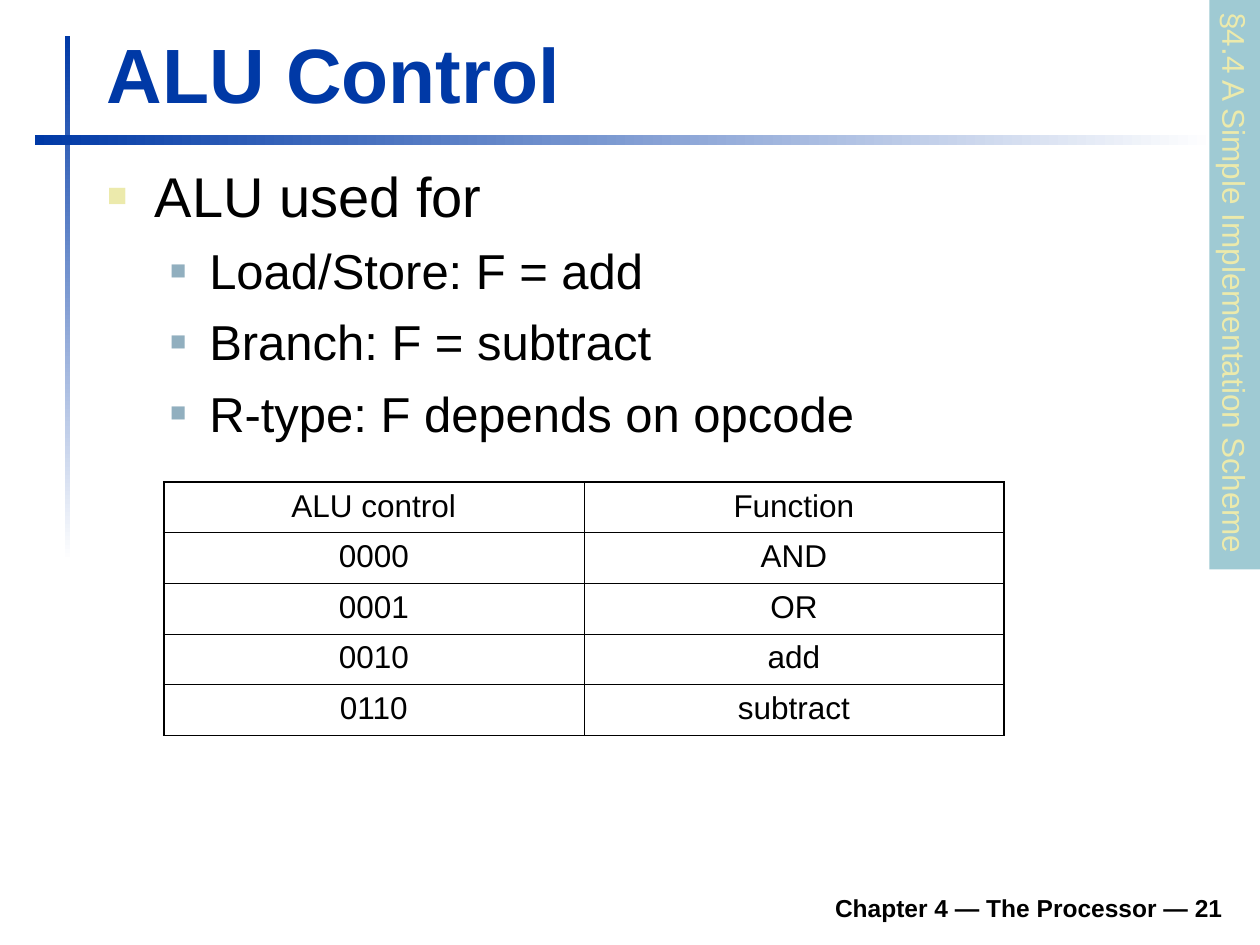
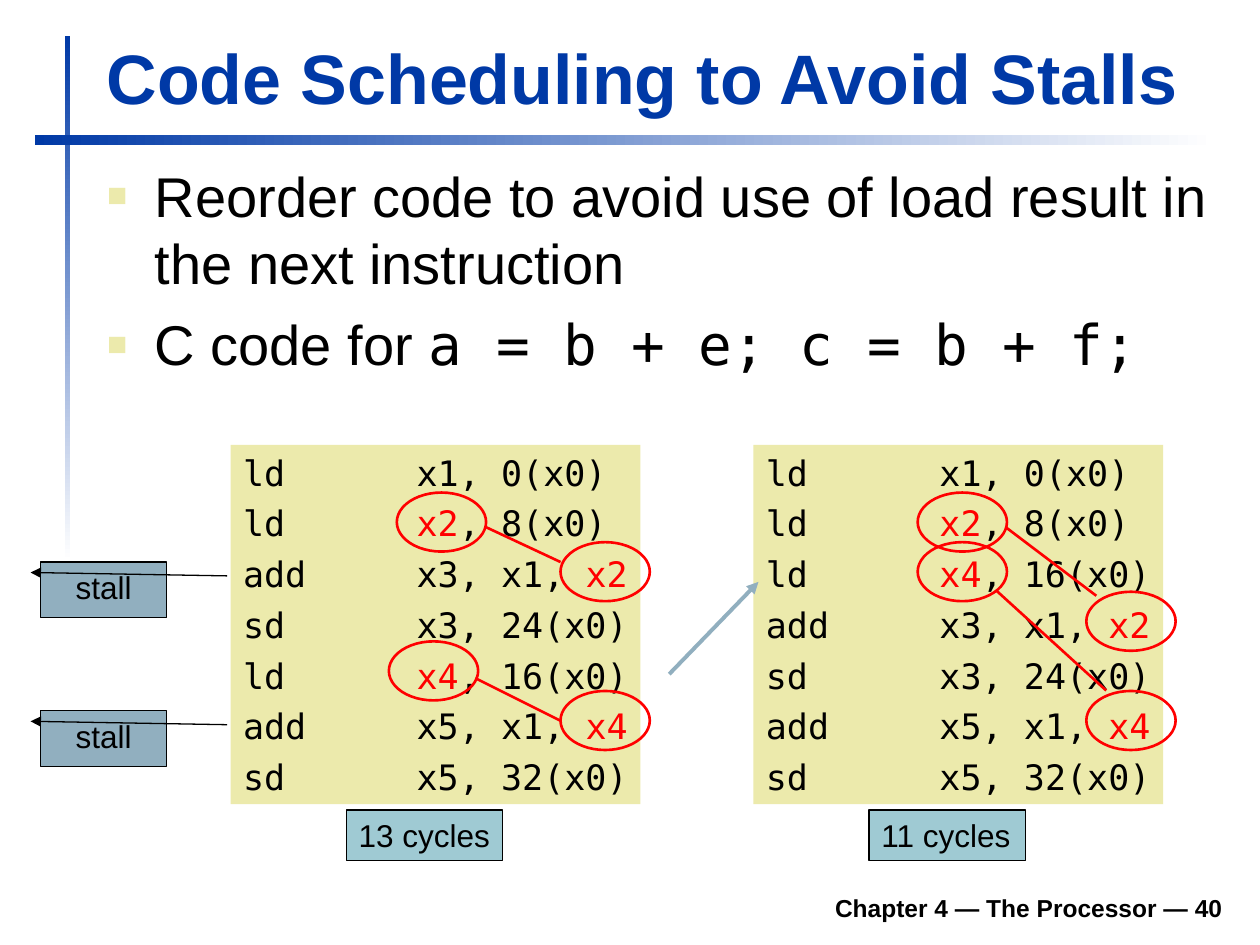
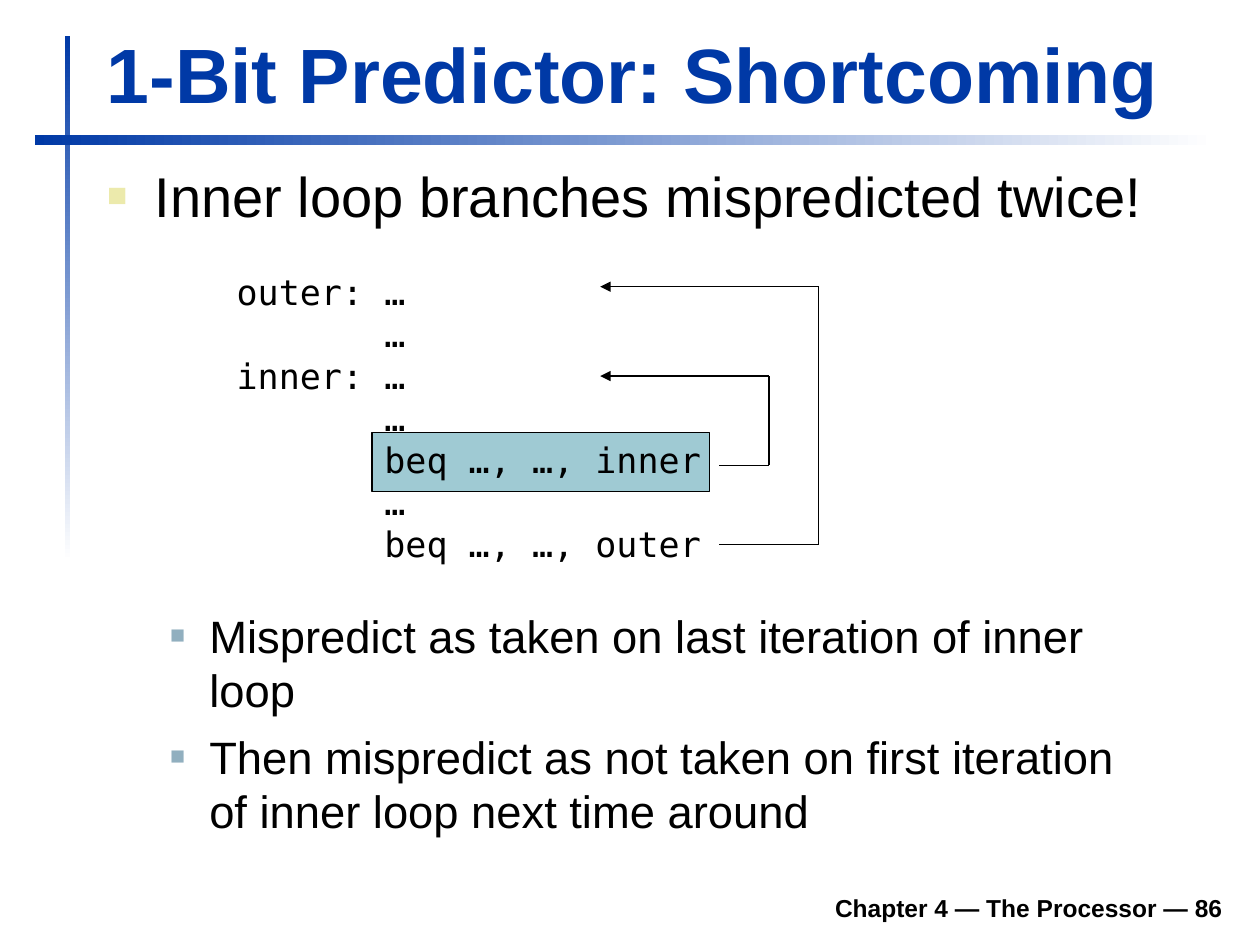
from itertools import pairwise

from lxml.etree import SubElement
from pptx import Presentation
from pptx.dml.color import RGBColor
from pptx.enum.shapes import MSO_CONNECTOR, MSO_SHAPE
from pptx.enum.text import MSO_ANCHOR, PP_ALIGN
from pptx.oxml.ns import qn
from pptx.util import Cm, Pt

BLUE = RGBColor(0x00, 0x39, 0xA6)
WHITE = RGBColor(0xFF, 0xFF, 0xFF)
BLACK = RGBColor(0x00, 0x00, 0x00)
RED = RGBColor(0xFF, 0x00, 0x00)
SAND = RGBColor(0xEC, 0xEA, 0xAC)
STEEL = RGBColor(0x91, 0xAF, 0xBF)
AQUA = RGBColor(0x9F, 0xCA, 0xD3)
SANS = "Arial"
MONO = "DejaVu Sans Mono"
LEVELS = [
    (0.96, 0.96, 32, 8, SAND, 60),
    (2.06, 0.79, 28, 7, STEEL, 55),
]


def add_runs(para, text, size, color=BLACK, face=SANS, bold=False,
             mark_color=None, mark_face=None):
    """Fill a paragraph, giving the parts between bars the mark style."""
    for index, part in enumerate(text.split("|")):
        if not part:
            continue
        run = para.add_run()
        run.text = part
        font = run.font
        font.size, font.bold = Pt(size), bold
        marked = index % 2
        font.name = mark_face if marked and mark_face else face
        font.color.rgb = mark_color if marked and mark_color else color


def write(frame, lines, size, gap=0, align=PP_ALIGN.LEFT, tabs=(), wrap=True,
          anchor=MSO_ANCHOR.TOP, **style):
    """Write one paragraph per line into a text frame."""
    frame.word_wrap = wrap
    frame.vertical_anchor = anchor
    frame.text = "\n" * (len(lines) - 1)
    for index, (para, line) in enumerate(zip(frame.paragraphs, lines)):
        para.alignment = align
        if tabs:
            stops = SubElement(para._p.get_or_add_pPr(), qn("a:tabLst"))
            for stop in tabs:
                SubElement(stops, qn("a:tab"), pos=str(Cm(stop)), algn="l")
        if gap and index:
            para.space_before = Pt(gap)
        add_runs(para, line, size, **style)


def add_text(slide, box, lines, size, **style):
    """Add a text box with the given lines."""
    frame = slide.shapes.add_textbox(*map(Cm, box)).text_frame
    write(frame, lines, size, **style)


def add_list(slide, box, items, size=None):
    """Add a list with square bullets from (level, text) items."""
    frame = slide.shapes.add_textbox(*map(Cm, box)).text_frame
    frame.word_wrap = True
    frame.text = "\n" * (len(items) - 1)
    for index, (para, (level, text)) in enumerate(zip(frame.paragraphs, items)):
        left, hang, points, gap, color, percent = LEVELS[level]
        para.level = level
        props = para._p.get_or_add_pPr()
        props.set("marL", str(Cm(left)))
        props.set("indent", str(-Cm(hang)))
        tint = SubElement(props, qn("a:buClr"))
        SubElement(tint, qn("a:srgbClr"), val=str(color))
        SubElement(props, qn("a:buSzPct"), val=str(percent * 1000))
        SubElement(props, qn("a:buFont"), typeface=SANS)
        SubElement(props, qn("a:buChar"), char="■")
        if index:
            para.space_before = Pt(gap)
        add_runs(para, text, size or points, mark_face=MONO)


def add_block(slide, box, fill=None, line=None, width=0.75, kind=MSO_SHAPE.RECTANGLE):
    """Add a flat shape with optional fill and outline."""
    shape = slide.shapes.add_shape(kind, *map(Cm, box))
    shape.shadow.inherit = False
    if fill is None:
        shape.fill.background()
    else:
        shape.fill.solid()
        shape.fill.fore_color.rgb = fill
    if line is None:
        shape.line.fill.background()
    else:
        shape.line.color.rgb = line
        shape.line.width = Pt(width)
    return shape


def add_fade(slide, box, angle):
    """Add a bar that fades from blue to white."""
    bar = add_block(slide, box)
    bar.fill.gradient()
    bar.fill.gradient_angle = angle
    for stop, color in zip(bar.fill.gradient_stops, (BLUE, WHITE)):
        stop.color.rgb = color


def add_tip(shape, end):
    """Put a triangle at the headEnd or tailEnd of a line."""
    SubElement(shape.element.spPr.find(qn("a:ln")), qn(f"a:{end}"), type="triangle")


def add_line(slide, start, stop, color, width, tip=False):
    """Add a straight line, with an arrow tip if asked."""
    ends = map(Cm, (*start, *stop))
    link = slide.shapes.add_connector(MSO_CONNECTOR.STRAIGHT, *ends)
    link.line.color.rgb = color
    link.line.width = Pt(width)
    if tip:
        add_tip(link, "tailEnd")
    SubElement(link.element.spPr, qn("a:effectLst"))


def add_loop(slide, start, right, top):
    """Add a jump back from a branch up to its label."""
    left, base = start
    points = [(left, base), (right, base), (right, top), (12.1, top)]
    for index, (first, last) in enumerate(pairwise(points)):
        add_line(slide, first, last, BLACK, 0.75, tip=index == 2)


def add_stall(slide, top):
    """Add a stall callout whose leader points left."""
    note = add_block(slide, (0.82, top, 2.54, 1.12), STEEL, BLACK,
                     kind=MSO_SHAPE.LINE_CALLOUT_1)
    for index, value in enumerate((0.19, -0.08, 0.25, 1.48)):
        note.adjustments[index] = value
    add_tip(note, "headEnd")
    write(note.text_frame, ["stall"], 18, align=PP_ALIGN.CENTER)


def add_code(slide, left, lines, cycles):
    """Add a code panel with its cycle count below."""
    panel = add_block(slide, (left, 8.97, 8.26, 7.24), SAND)
    write(panel.text_frame, lines, 20, gap=5, tabs=(1.75, 3.5), wrap=False,
          face=MONO, mark_color=RED)
    count = add_block(slide, (left + 2.33, 16.33, 3.15, 1.02), AQUA, BLACK)
    write(count.text_frame, [f"{cycles} cycles"], 18, wrap=False)


def add_edges(cell, widths):
    """Draw black cell borders from a map of side to width."""
    props = cell._tc.get_or_add_tcPr()
    for side, width in widths.items():
        edge = SubElement(props, qn(f"a:ln{side}"), w=str(Pt(width)))
        paint = SubElement(edge, qn("a:solidFill"))
        SubElement(paint, qn("a:srgbClr"), val=str(BLACK))


def add_grid(slide, left, top, rows, wide, high):
    """Add a plain ruled table with centred text."""
    count = len(rows[0])
    size = map(Cm, (left, top, wide * count, high * len(rows)))
    table = slide.shapes.add_table(len(rows), count, *size).table
    table.first_row = table.horz_banding = False
    for row in table.rows:
        row.height = Cm(high)
    for y, row in enumerate(rows):
        for x, text in enumerate(row):
            cell = table.cell(y, x)
            add_edges(cell, {
                "L": 0.45 if x else 1.08,
                "R": 1.08 if x == count - 1 else 0.45,
                "T": {0: 1.08, 1: 0.75}.get(y, 0.45),
                "B": 0.45 if y else 0.75,
            })
            cell.fill.background()
            write(cell.text_frame, [text], 18, align=PP_ALIGN.CENTER)


def add_page(deck, title, number, size=44):
    """Add a slide with the shared bars, title and footer."""
    slide = deck.slides.add_slide(deck.slide_layouts[6])
    add_fade(slide, (1.31, 0.72, 0.1, 10.59), 270)
    add_fade(slide, (0.7, 2.72, 23.8, 0.2), 0)
    add_text(slide, (4.71, 17.73, 20.19, 0.99), [f"Chapter 4 — The Processor — {number}"],
             14, bold=True, align=PP_ALIGN.RIGHT, anchor=MSO_ANCHOR.BOTTOM)
    add_text(slide, (1.9, 0.41, 22.94, 2.11), [title], size,
             color=BLUE, bold=True, anchor=MSO_ANCHOR.BOTTOM)
    return slide


def draw_control(deck):
    """Build the ALU control slide."""
    slide = add_page(deck, "ALU Control", 21)
    add_list(slide, (1.91, 3.13, 22.96, 6.6), [
        (0, "ALU used for"),
        (1, "Load/Store: F = add"),
        (1, "Branch: F = subtract"),
        (1, "R-type: F depends on opcode"),
    ])
    tag = add_block(slide, (19.15, 5.23, 11.48, 1.02), AQUA)
    tag.rotation = 90
    write(tag.text_frame, ["§4.4 A Simple Implementation Scheme"], 18,
          color=SAND, wrap=False)
    add_grid(slide, 3.3, 9.72, [
        ("ALU control", "Function"),
        ("0000", "AND"),
        ("0001", "OR"),
        ("0010", "add"),
        ("0110", "subtract"),
    ], 8.47, 1.02)


def draw_stalls(deck):
    """Build the code scheduling slide."""
    slide = add_page(deck, "Code Scheduling to Avoid Stalls", 40, 40)
    add_list(slide, (1.91, 3.13, 22.96, 5.13), [
        (0, "Reorder code to avoid use of load result in the next instruction"),
        (0, "C code for |a = b + e; c = b + f;|"),
    ])
    slow = [
        "ld\t\tx1, 0(x0)",
        "ld\t\t|x2|, 8(x0)",
        "add\t\tx3, x1, |x2|",
        "sd\t\tx3, 24(x0)",
        "ld\t\t|x4|, 16(x0)",
        "add\t\tx5, x1, |x4|",
        "sd\t\tx5, 32(x0)",
    ]
    fast = slow[:2] + [slow[4]] + slow[2:4] + slow[5:]
    add_code(slide, 4.65, slow, 13)
    add_code(slide, 15.19, fast, 11)
    for top in (11.33, 14.33):
        add_stall(slide, top)
    add_line(slide, (13.49, 13.59), (15.29, 11.73), STEEL, 2.25, tip=True)
    rings = [(8, 0), (11.3, 1), (7.84, 3), (11.3, 4),
             (18.5, 0), (21.9, 2), (21.9, 4), (18.5, 1)]
    for left, step in rings:
        add_block(slide, (left, 9.93 + step, 1.8, 1.19), line=RED, width=1.5,
                  kind=MSO_SHAPE.OVAL)
    links = [
        ((9.78, 10.62), (11.3, 11.33)),
        ((9.58, 13.67), (11.3, 14.53)),
        ((20.29, 10.64), (22.1, 12.01)),
        ((20.09, 11.91), (22.3, 13.92)),
    ]
    for start, stop in links:
        add_line(slide, start, stop, RED, 1.5)


def draw_branch(deck):
    """Build the 1-bit predictor slide."""
    slide = add_page(deck, "1-Bit Predictor: Shortcoming", 86)
    add_block(slide, (7.5, 8.72, 6.81, 1.19), AQUA, BLACK)
    add_list(slide, (1.91, 3.13, 22.96, 2.01),
             [(0, "Inner loop branches mispredicted twice!")])
    add_text(slide, (4.52, 5.33, 10.5, 6.2), [
        "outer: …",
        "       …",
        "inner: …",
        "       …",
        "       beq …, …, inner",
        "       …",
        "       beq …, …, outer",
    ], 20, face=MONO)
    add_loop(slide, (14.5, 9.38), 15.5, 7.58)
    add_loop(slide, (14.5, 10.98), 16.5, 5.78)
    add_list(slide, (1.91, 12.13, 21.59, 5.21), [
        (1, "Mispredict as taken on last iteration of inner loop"),
        (1, "Then mispredict as not taken on first iteration "
            "of inner loop next time around"),
    ], 25.9)


def main():
    """Build and save the deck."""
    deck = Presentation()
    deck.slide_width, deck.slide_height = Cm(25.4), Cm(19.05)
    draw_control(deck)
    draw_stalls(deck)
    draw_branch(deck)
    deck.save("out.pptx")


if __name__ == "__main__":
    main()
